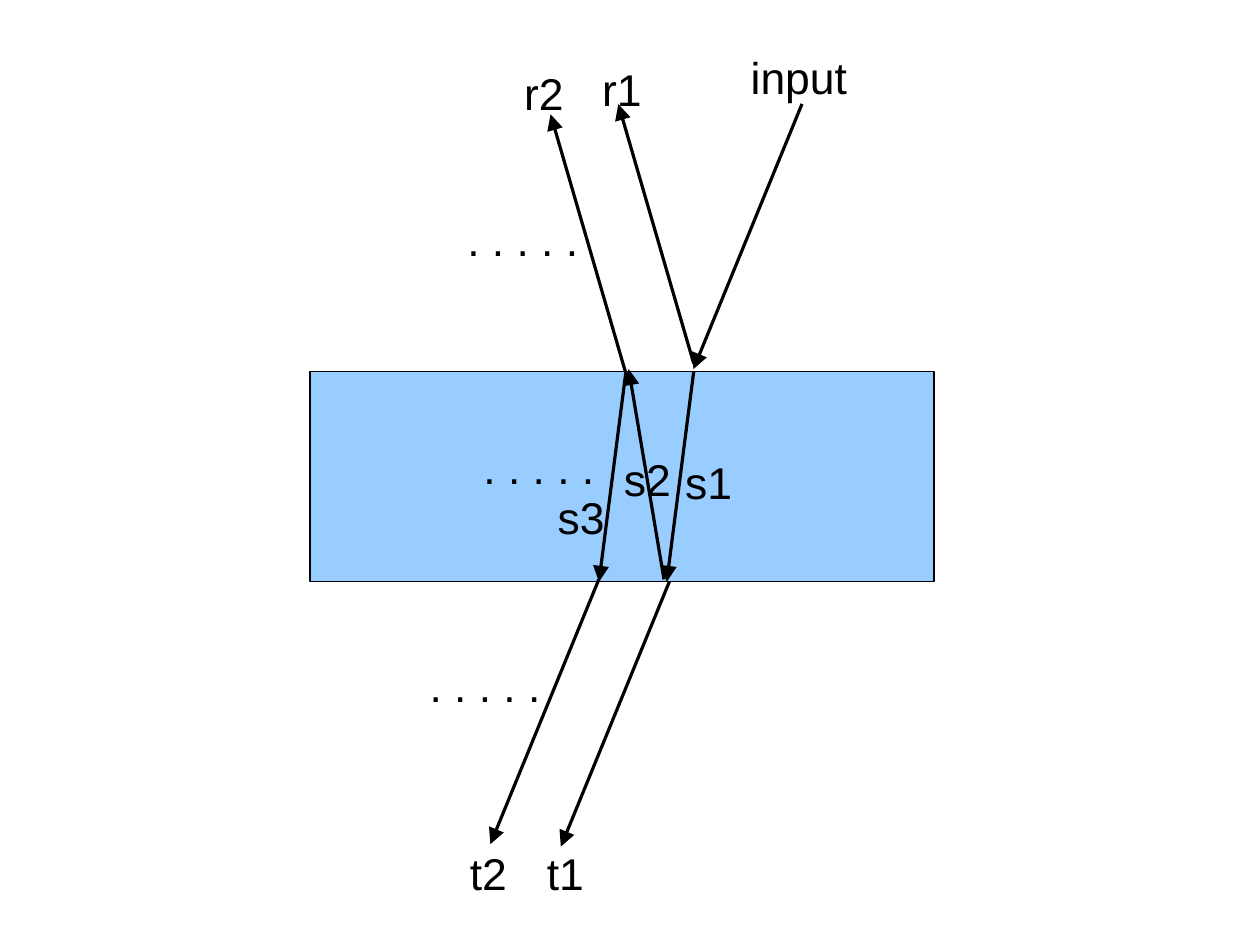
from lxml.etree import SubElement
from pptx import Presentation
from pptx.dml.color import RGBColor
from pptx.enum.shapes import MSO_CONNECTOR, MSO_SHAPE
from pptx.enum.text import MSO_AUTO_SIZE
from pptx.oxml.ns import qn
from pptx.util import Pt

BLACK = RGBColor(0x00, 0x00, 0x00)
SLAB_BLUE = RGBColor(0x99, 0xCC, 0xFF)

# Direction of travel (dx, dy) shared by parallel rays, in points
INCIDENT = (-68.4, 167)
REFLECTED = (-47.5, -163.4)
INSIDE_DOWN = (-17, 132.5)
INSIDE_UP = (-22.3, -132.5)

# Start point and direction of each ray
RAYS = [
    (505.2, 65.5, INCIDENT),       # input
    (437, 234, INSIDE_DOWN),       # s1
    (421.7, 366.3, INCIDENT),      # t1
    (418.3, 365, INSIDE_UP),       # s2
    (394.3, 234, INSIDE_DOWN),     # s3
    (437, 229, REFLECTED),         # r1
    (394.3, 235.4, REFLECTED),     # r2
    (377.3, 364.8, INCIDENT),      # t2
]

# Text, left, top, width
ELLIPSIS = ". . . . ."
LABELS = [
    ("input", 465.8, 28.1, 75.6),
    ("r1", 372.2, 35.7, 39.6),
    ("r2", 323, 38.2, 39.6),
    ("s1", 424.5, 283.4, 43.9),
    ("s2", 385.9, 281.5, 43.9),
    ("s3", 344.2, 305, 43.9),
    ("t1", 337.4, 529.2, 38.2),
    ("t2", 288.9, 529.6, 38.2),
    (ELLIPSIS, 297.4, 273.6, 85),
    (ELLIPSIS, 287.3, 130, 85),
    (ELLIPSIS, 263.5, 410.8, 85),
]


def add_slab(slide, left, top, width, height):
    slab = slide.shapes.add_shape(
        MSO_SHAPE.RECTANGLE, Pt(left), Pt(top), Pt(width), Pt(height))
    slab.shadow.inherit = False
    slab.fill.solid()
    slab.fill.fore_color.rgb = SLAB_BLUE
    slab.line.color.rgb = BLACK
    slab.line.width = Pt(0)


def add_ray(slide, x, y, direction):
    dx, dy = direction
    ray = slide.shapes.add_connector(
        MSO_CONNECTOR.STRAIGHT, Pt(x), Pt(y), Pt(x + dx), Pt(y + dy))
    ray.line.color.rgb = BLACK
    ray.line.width = Pt(2)
    SubElement(ray.line._get_or_add_ln(), qn("a:tailEnd"),
               type="triangle", w="lg", len="lg")
    SubElement(ray._element.spPr, qn("a:effectLst"))


def add_label(slide, text, left, top, width, *, height=39.6, size=28,
              font="Arial", color=BLACK):
    label = slide.shapes.add_textbox(Pt(left), Pt(top), Pt(width), Pt(height))
    frame = label.text_frame
    frame.word_wrap = False
    frame.auto_size = MSO_AUTO_SIZE.SHAPE_TO_FIT_TEXT
    run = frame.paragraphs[0].add_run()
    run.text = text
    run.font.name = font
    run.font.size = Pt(size)
    run.font.color.rgb = color


def main():
    deck = Presentation()
    deck.slide_width, deck.slide_height = Pt(793.7), Pt(595.28)
    slide = deck.slides.add_slide(deck.slide_layouts[6])

    # Slab, then the rays crossing it, then their labels
    add_slab(slide, 195.3, 234, 393.1, 132.5)
    for ray in RAYS:
        add_ray(slide, *ray)
    for label in LABELS:
        add_label(slide, *label)

    deck.save("out.pptx")


if __name__ == "__main__":
    main()
